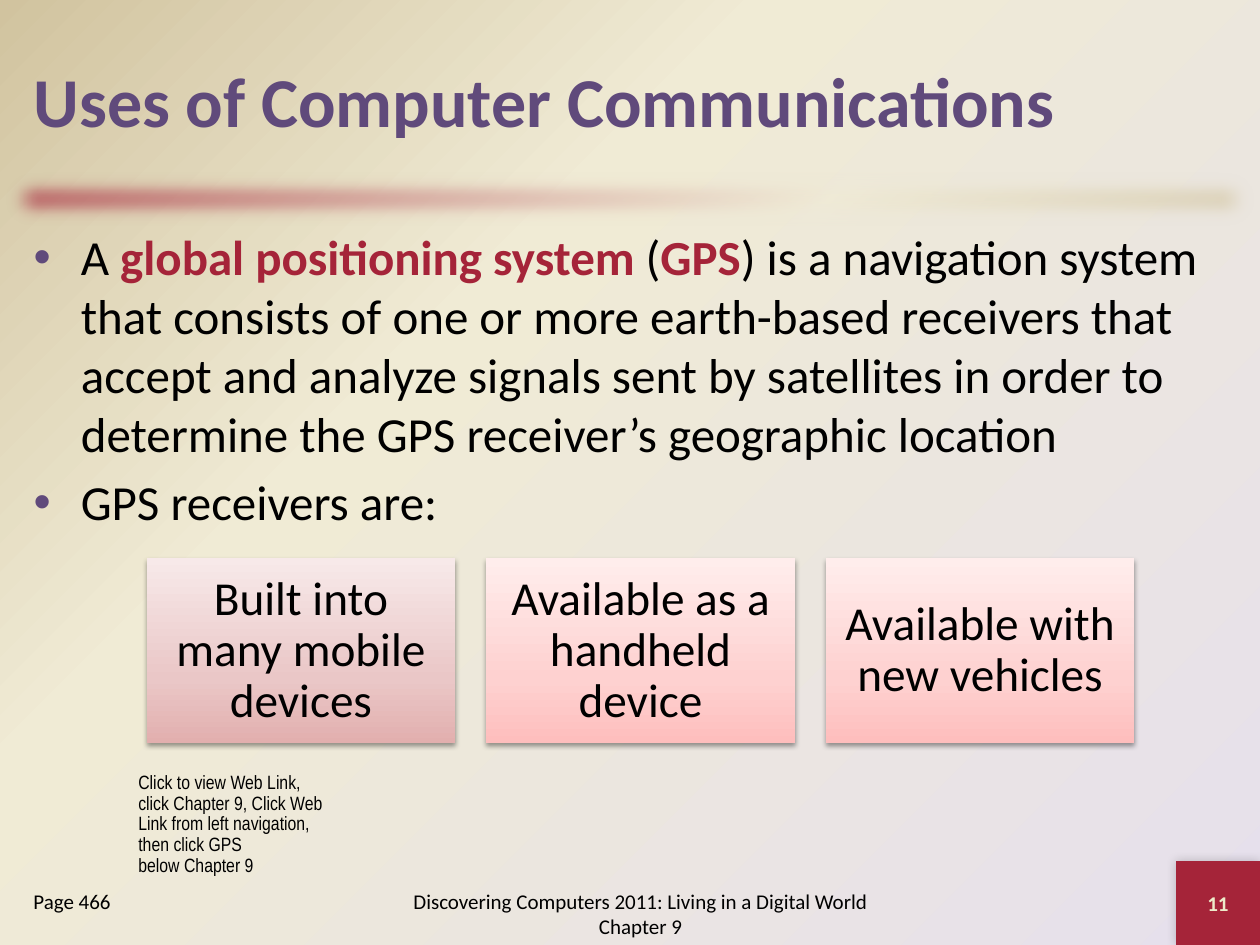
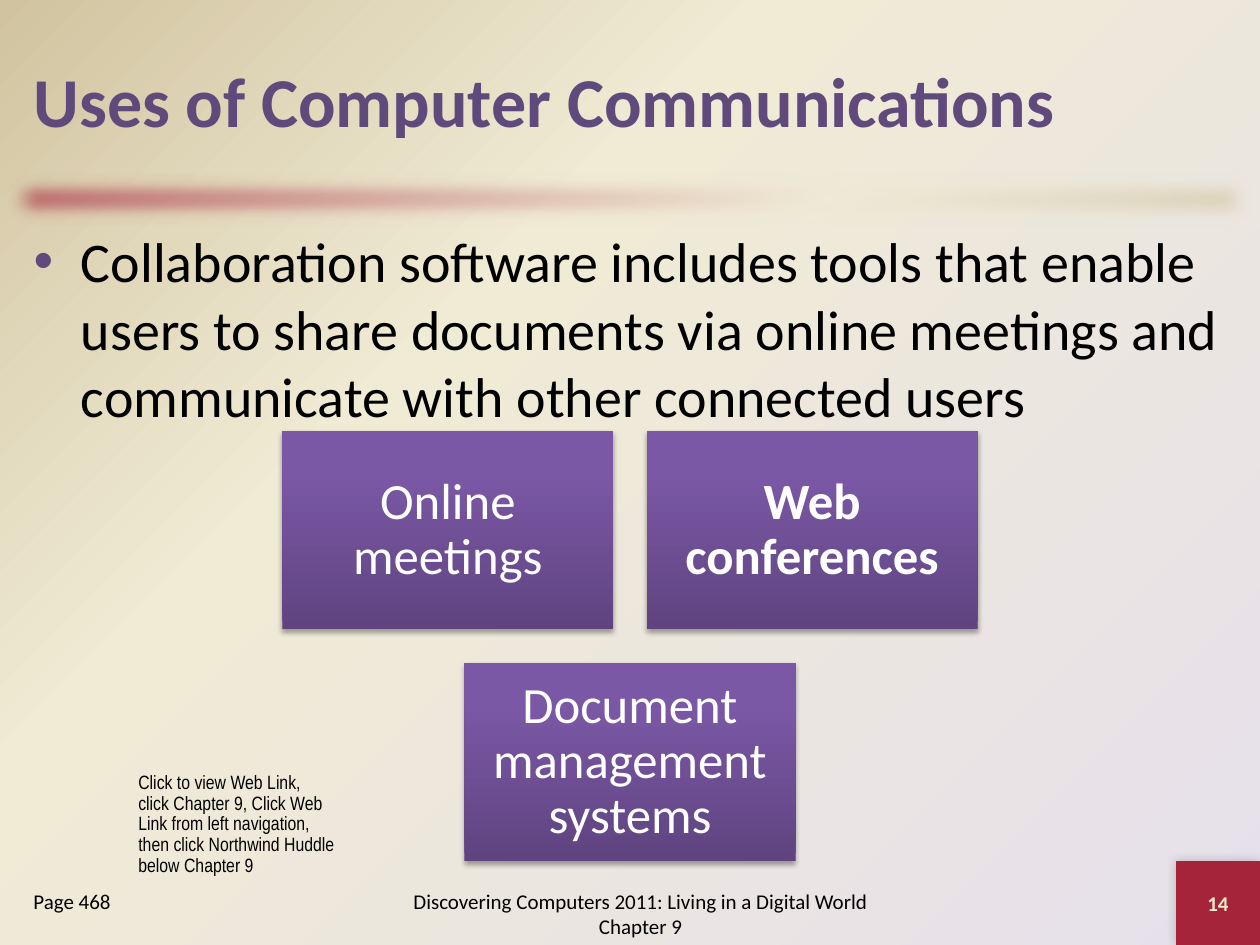
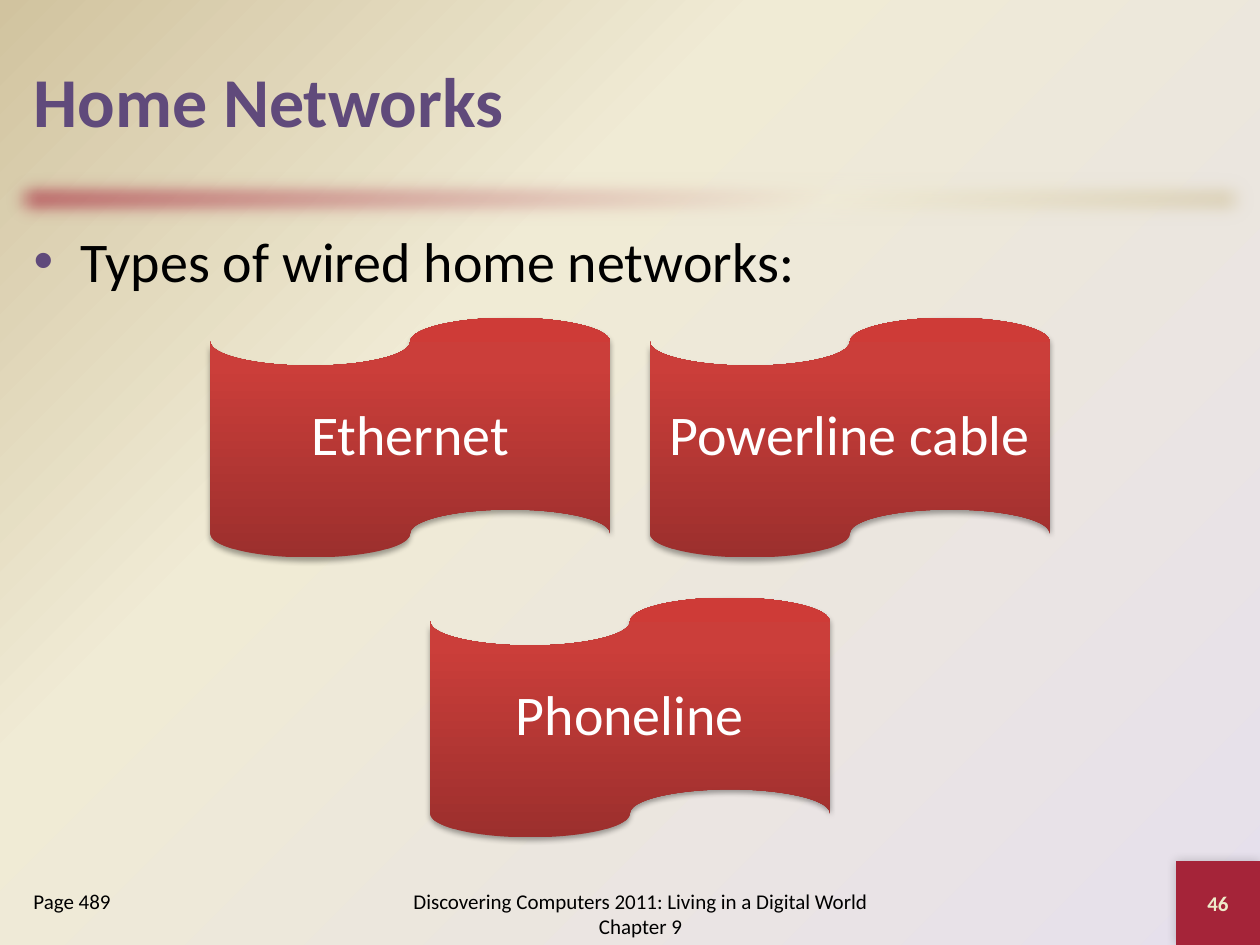
from lxml.etree import SubElement
from pptx import Presentation
from pptx.dml.color import RGBColor
from pptx.enum.shapes import MSO_SHAPE
from pptx.enum.text import MSO_ANCHOR, MSO_AUTO_SIZE, PP_ALIGN
from pptx.oxml.ns import qn
from pptx.util import Pt

# Colours
PURPLE = RGBColor(0x60, 0x4A, 0x7B)
CRIMSON = RGBColor(0xA5, 0x24, 0x39)
LILAC = RGBColor(0xE6, 0xE0, 0xEC)
CREAM = RGBColor(0xF0, 0xEB, 0xD5)
SAND = RGBColor(0xD1, 0xC3, 0x9F)
PALE_YELLOW = RGBColor(0xEE, 0xEB, 0xCA)
BLACK = RGBColor(0, 0, 0)
WHITE = RGBColor(0xFF, 0xFF, 0xFF)

# Gradient stops: position in percent and colour
PAGE_STOPS = [(0, LILAC), (65, CREAM), (100, SAND)]
BAND_STOPS = [(0, CRIMSON), (65, CREAM), (100, SAND)]
ROSE_STOPS = [(0, RGBColor(0xE2, 0xAF, 0xAE)), (35, RGBColor(0xEA, 0xC7, 0xC7)),
              (100, RGBColor(0xF7, 0xE9, 0xE9))]
PINK_STOPS = [(0, RGBColor(0xFE, 0xBE, 0xBD)), (35, RGBColor(0xFE, 0xD1, 0xD0)),
              (100, RGBColor(0xFF, 0xED, 0xEC))]
VIOLET_STOPS = [(0, RGBColor(0x5F, 0x44, 0x80)), (80, RGBColor(0x7B, 0x58, 0xA6)),
                (100, RGBColor(0x7C, 0x57, 0xA8))]
RED_STOPS = [(0, RGBColor(0x9C, 0x2F, 0x2D)), (80, RGBColor(0xCB, 0x3E, 0x3A)),
             (100, RGBColor(0xCE, 0x3B, 0x37))]

FONT = "Calibri"
NARROW_FONT = "Arial Narrow"
FOOTER = "Discovering Computers 2011: Living in a Digital World Chapter 9"


def add_colour(parent, colour, alpha=None):
    node = SubElement(parent, qn("a:srgbClr"), val=str(colour))
    if alpha is not None:
        SubElement(node, qn("a:alpha"), val=str(alpha * 1000))


def set_gradient(fill, holder, stops, angle=None):
    """Linear gradient at an angle, or circular from the lower right corner."""
    fill.gradient()
    gradient = holder.find(qn("a:gradFill"))
    for child in list(gradient):
        gradient.remove(child)
    stop_list = SubElement(gradient, qn("a:gsLst"))
    for position, colour in stops:
        add_colour(SubElement(stop_list, qn("a:gs"), pos=str(position * 1000)), colour)
    if angle is None:
        circle = SubElement(gradient, qn("a:path"), path="circle")
        SubElement(circle, qn("a:fillToRect"), l="100000", t="100000")
    else:
        SubElement(gradient, qn("a:lin"), ang=str(angle * 60000), scaled="0")


class SlideBuilder:
    def __init__(self, deck):
        self.deck = deck
        self.page = None
        master = deck.slide_master
        fill = master.background.fill
        fill.solid()
        set_gradient(fill, master.element.find(".//" + qn("p:bgPr")), PAGE_STOPS)

    def start(self, title, number, page_label):
        self.page = self.deck.slides.add_slide(self.deck.slide_layouts[1])
        self.band()
        self.title(title)
        self.number_square(number)
        self.text(FOOTER, 216, 504, 300, 36, PP_ALIGN.CENTER, MSO_ANCHOR.MIDDLE)
        self.text(page_label, 12, 504, 132, 36)

    def style(self, paragraph, size, colour=BLACK, bold=False, name=FONT):
        font = paragraph.font
        font.name, font.size, font.bold = name, Pt(size), bold
        font.color.rgb = colour

    def place(self, shape, left, top, width, height):
        shape.left, shape.top = Pt(left), Pt(top)
        shape.width, shape.height = Pt(width), Pt(height)

    def shape(self, kind, left, top, width, height):
        shape = self.page.shapes.add_shape(kind, Pt(left), Pt(top), Pt(width), Pt(height))
        shape.line.fill.background()
        shape.shadow.inherit = False
        return shape

    def effect(self, shape, tag, **settings):
        effects = shape.element.spPr.find(qn("a:effectLst"))
        return SubElement(effects, qn(tag), **{key: str(value) for key, value in settings.items()})

    def shadow(self, shape, alpha, blur, distance, angle):
        node = self.effect(shape, "a:outerShdw", blurRad=Pt(blur), dist=Pt(distance),
                           dir=angle * 60000, algn="ctr", rotWithShape=0)
        add_colour(node, BLACK, alpha)

    def band(self):
        band = self.shape(MSO_SHAPE.RECTANGLE, 0, 96, 720, 36)
        set_gradient(band.fill, band.element.spPr, BAND_STOPS, 45)
        self.effect(band, "a:softEdge", rad=Pt(12.5))

    def title(self, words):
        title = self.page.shapes.title
        self.place(title, 12, 12, 696, 90)
        frame = title.text_frame
        frame.text = words
        frame.auto_size = MSO_AUTO_SIZE.NONE
        frame.vertical_anchor = MSO_ANCHOR.MIDDLE
        paragraph = frame.paragraphs[0]
        paragraph.alignment = PP_ALIGN.LEFT
        self.style(paragraph, 40, PURPLE, True)

    def number_square(self, number):
        square = self.shape(MSO_SHAPE.RECTANGLE, 672, 492, 48, 48)
        square.fill.solid()
        square.fill.fore_color.rgb = CRIMSON
        self.shadow(square, 20, 6, 0, 225)
        self.centred_text(square, str(number), 12, PALE_YELLOW, True)

    def centred_text(self, shape, words, size, colour, bold=False):
        frame = shape.text_frame
        frame.word_wrap = True
        frame.vertical_anchor = MSO_ANCHOR.MIDDLE
        frame.text = words
        paragraph = frame.paragraphs[0]
        paragraph.alignment = PP_ALIGN.CENTER
        self.style(paragraph, size, colour, bold)
        return frame

    def bullets(self, items, size):
        """List items; words between asterisks are key terms."""
        body = self.page.placeholders[1]
        self.place(body, 12, 126, 696, 366)
        frame = body.text_frame
        frame.auto_size = MSO_AUTO_SIZE.NONE
        for index, item in enumerate(items):
            paragraph = frame.add_paragraph() if index else frame.paragraphs[0]
            properties = paragraph._p.get_or_add_pPr()
            add_colour(SubElement(properties, qn("a:buClr")), PURPLE)
            self.style(paragraph, size)
            for part, words in enumerate(item.split("*")):
                span = paragraph.add_run()
                span.text = words
                if part % 2:
                    span.font.bold = True
                    span.font.color.rgb = CRIMSON

    def text(self, words, left, top, width, height,
             alignment=PP_ALIGN.LEFT, anchor=MSO_ANCHOR.TOP, size=12, name=FONT, spacing=1.0):
        box = self.page.shapes.add_textbox(Pt(left), Pt(top), Pt(width), Pt(height))
        frame = box.text_frame
        frame.word_wrap = True
        frame.vertical_anchor = anchor
        frame.text = words
        for paragraph in frame.paragraphs:
            paragraph.alignment = alignment
            paragraph.line_spacing = spacing
            self.style(paragraph, size, name=name)

    def web_link(self, topic):
        self.text("Click to view Web Link,\vclick Chapter 9, Click Web\vLink from left navigation,\n"
                  f"then click {topic}\vbelow Chapter 9",
                  72, 438, 138, 67, size=11, name=NARROW_FONT, spacing=0.9)

    def tiles(self, rows, centre, top, width, size, colour=WHITE,
              kind=MSO_SHAPE.RECTANGLE, shadow=(35, 3.1, 1.8, 90)):
        """Centred rows of tiles, each tile given as words, stops and bold."""
        height, gap = width * 0.6, width * 0.1
        for row_index, row in enumerate(rows):
            row_width = len(row) * (width + gap) - gap
            for column, (words, stops, bold) in enumerate(row):
                tile = self.shape(kind, centre - row_width / 2 + column * (width + gap),
                                  top + row_index * (height + gap), width, height)
                set_gradient(tile.fill, tile.element.spPr, stops, 270)
                self.shadow(tile, *shadow)
                frame = self.centred_text(tile, words, size, colour, bold)
                frame.paragraphs[0].line_spacing = 0.9
                inset = Pt(size * 0.3)
                frame.margin_left = frame.margin_right = inset
                frame.margin_top = frame.margin_bottom = inset


def main():
    deck = Presentation()
    deck.slide_width, deck.slide_height = Pt(720), Pt(540)
    builder = SlideBuilder(deck)

    # GPS receivers
    builder.start("Uses of Computer Communications", 11, "Page 466")
    builder.bullets([
        "A *global positioning system *(*GPS*) is a navigation system that consists of one or "
        "more earth-based receivers that accept and analyze signals sent by satellites in order "
        "to determine the GPS receiver’s geographic location",
        "GPS receivers are:",
    ], 28)
    builder.tiles([[("Built into many mobile devices", ROSE_STOPS, False),
                    ("Available as a handheld device", PINK_STOPS, False),
                    ("Available with new vehicles", PINK_STOPS, False)]],
                  centre=366, top=319, width=176.4, size=27, colour=BLACK,
                  shadow=(38, 3.1, 1.6, 90))
    builder.web_link("GPS")

    # Collaboration software
    builder.start("Uses of Computer Communications", 14, "Page 468")
    builder.bullets(["Collaboration software includes tools that enable users to share documents "
                     "via online meetings and communicate with other connected users"], 32)
    builder.tiles([[("Online meetings", VIOLET_STOPS, False),
                    ("Web conferences", VIOLET_STOPS, True)],
                   [("Document management systems", VIOLET_STOPS, False)]],
                  centre=360, top=246.2, width=189.2, size=29)
    builder.web_link("Northwind Huddle")

    # Wired home networks
    builder.start("Home Networks", 46, "Page 489")
    builder.bullets(["Types of wired home networks:"], 32)
    builder.tiles([[("Ethernet", RED_STOPS, False), ("Powerline cable", RED_STOPS, False)],
                   [("Phoneline", RED_STOPS, False)]],
                  centre=360, top=181.6, width=228.4, size=32, kind=MSO_SHAPE.FLOWCHART_PUNCHED_TAPE)

    deck.save("out.pptx")


if __name__ == "__main__":
    main()
